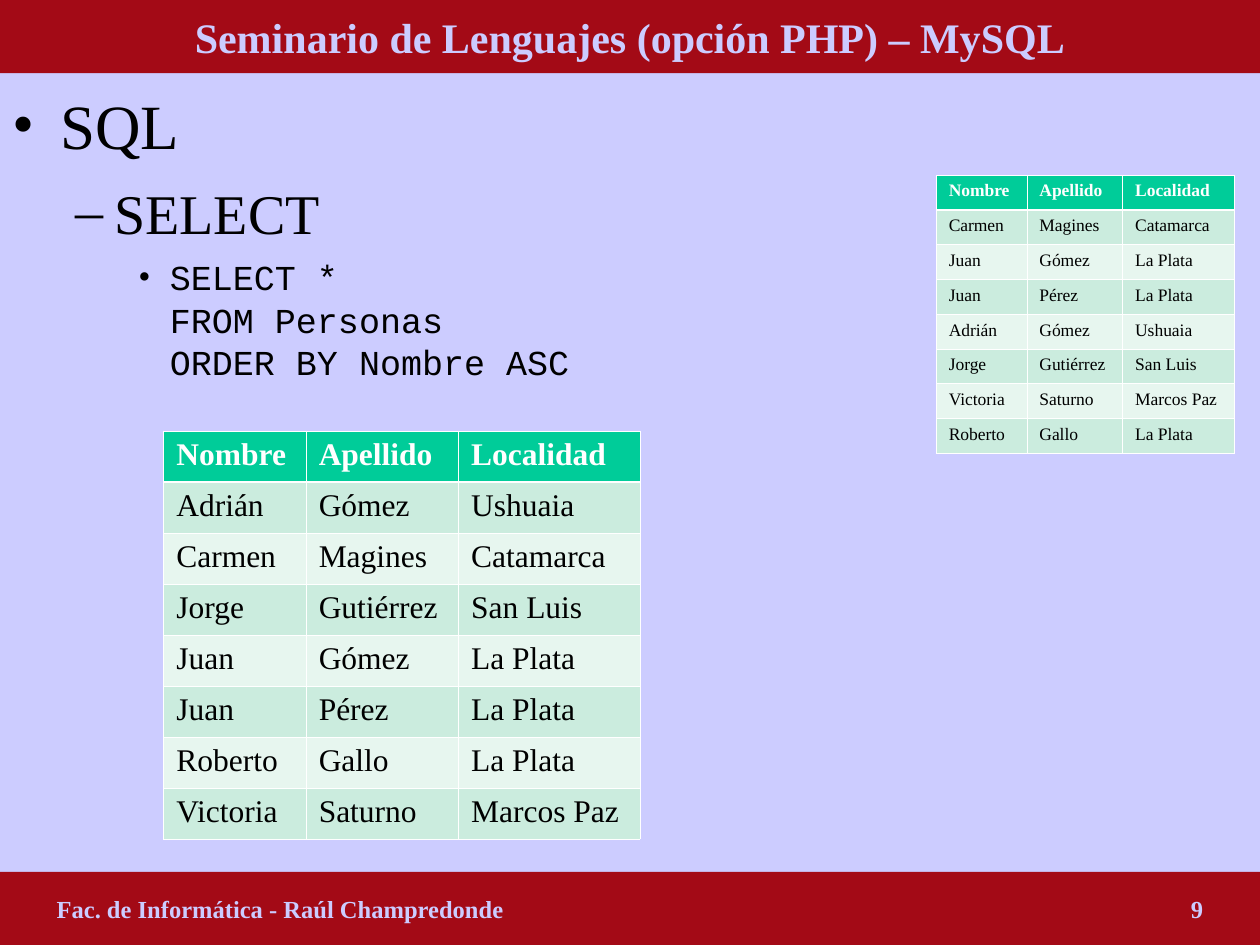
from lxml.etree import SubElement
from pptx import Presentation
from pptx.dml.color import RGBColor
from pptx.enum.shapes import MSO_SHAPE
from pptx.enum.text import MSO_ANCHOR, PP_ALIGN
from pptx.oxml.ns import qn
from pptx.util import Inches, Pt

LAVENDER = RGBColor(0xCC, 0xCC, 0xFF)
DARK_RED = RGBColor(0xA3, 0x0A, 0x16)
GREEN = RGBColor(0x00, 0xCC, 0x99)
BAND_DARK = RGBColor(0xCB, 0xEC, 0xDE)
BAND_LIGHT = RGBColor(0xE7, 0xF6, 0xEF)
BLACK = RGBColor(0, 0, 0)
WHITE = RGBColor(0xFF, 0xFF, 0xFF)
SERIF = "Times New Roman"
MONO = "Courier New"


def write(paragraph, text, color, **font_format):
    paragraph.text = text
    for run in paragraph.runs:
        for name, value in font_format.items():
            setattr(run.font, name, value)
        run.font.color.rgb = color


def add_borders(cell, widths):
    properties = cell._tc.get_or_add_tcPr()
    for side, width in widths.items():
        line = SubElement(properties, qn(f"a:ln{side}"), w=str(Pt(width)))
        fill = SubElement(line, qn("a:solidFill"))
        SubElement(fill, qn("a:srgbClr"), val=str(WHITE))


prs = Presentation()
prs.slide_width, prs.slide_height = Inches(10), Inches(7.5)
slide = prs.slides.add_slide(prs.slide_layouts[6])
slide.background.fill.solid()
slide.background.fill.fore_color.rgb = LAVENDER

# Outline: text, bullet, left indent, hanging indent, space before, font, size
outline = [
    ("SQL", "•", 0.38, 0.38, 0, SERIF, 36),
    ("SELECT", "–", 0.81, 0.31, 9, SERIF, 32),
    ("SELECT *\vFROM Personas\vORDER BY Nombre ASC", "•", 1.25, 0.25, 6, MONO, 20),
]
body = slide.shapes.add_textbox(Inches(0), Inches(0.58), Inches(10), Inches(6.33)).text_frame
body.word_wrap = True
body.margin_top = Inches(0.11)
for level, (text, bullet, indent, hanging, before, font, size) in enumerate(outline):
    item = body.add_paragraph() if level else body.paragraphs[0]
    item.level = level
    item.space_before = Pt(before)
    if font == MONO:
        item.line_spacing = Pt(24)
    properties = item._p.get_or_add_pPr()
    properties.set("marL", str(Inches(indent)))
    properties.set("indent", str(-Inches(hanging)))
    bullet_color = SubElement(properties, qn("a:buClr"))
    SubElement(bullet_color, qn("a:srgbClr"), val=str(BLACK))
    SubElement(properties, qn("a:buFont"), typeface=SERIF)
    SubElement(properties, qn("a:buChar"), char=bullet)
    write(item, text, BLACK, name=font, size=Pt(size))

# Header and footer bars: text, top, alignment, left inset, size
bars = [
    ("Seminario de Lenguajes (opción PHP) – MySQL", 0, PP_ALIGN.CENTER, 0.1, 24),
    ("Fac. de Informática - Raúl Champredonde\t9", 6.92, PP_ALIGN.LEFT, 0.45, 14),
]
for text, top, alignment, inset, size in bars:
    bar = slide.shapes.add_shape(MSO_SHAPE.RECTANGLE, Inches(0), Inches(top), Inches(10), Inches(0.58))
    bar.shadow.inherit = False
    bar.fill.solid()
    bar.fill.fore_color.rgb = DARK_RED
    bar.line.fill.background()
    bar.text_frame.margin_left = Inches(inset)
    bar.text_frame.vertical_anchor = MSO_ANCHOR.MIDDLE
    line = bar.text_frame.paragraphs[0]
    line.alignment = alignment
    if "\t" in text:  # page number sits on a right tab
        tabs = SubElement(line._p.get_or_add_pPr(), qn("a:tabLst"))
        SubElement(tabs, qn("a:tab"), pos=str(Inches(9.1)), algn="r")
    write(line, text, LAVENDER, name=SERIF, size=Pt(size), bold=True)

# Tables: the query result, ordered by name, and the stored people
header = ("Nombre", "Apellido", "Localidad")
people = [
    ("Carmen", "Magines", "Catamarca"),
    ("Juan", "Gómez", "La Plata"),
    ("Juan", "Pérez", "La Plata"),
    ("Adrián", "Gómez", "Ushuaia"),
    ("Jorge", "Gutiérrez", "San Luis"),
    ("Victoria", "Saturno", "Marcos Paz"),
    ("Roberto", "Gallo", "La Plata"),
]
people_by_name = sorted(people, key=lambda person: person[0])
tables = [
    (people_by_name, 1.3, 3.42, 3.24, (1.13, 1.21, 1.44), 18),
    (people, 7.43, 1.39, 2.21, (0.72, 0.76, 0.89), 10),
]
for records, left, top, height, widths, size in tables:
    rows = [header, *records]
    table = slide.shapes.add_table(len(rows), len(header), Inches(left), Inches(top),
                                   Inches(sum(widths)), Inches(height)).table
    for column, width in zip(table.columns, widths):
        column.width = Inches(width)
    for r, row in enumerate(rows):
        is_header = r == 0
        for c, text in enumerate(row):
            cell = table.cell(r, c)
            add_borders(cell, {"L": 0.45, "R": 0.45,
                               "T": 1.47 if r == 1 else 0.45,
                               "B": 1.47 if is_header else 0.45})
            cell.fill.solid()
            cell.fill.fore_color.rgb = GREEN if is_header else (BAND_LIGHT, BAND_DARK)[r % 2]
            write(cell.text_frame.paragraphs[0], text, WHITE if is_header else BLACK,
                  name=SERIF, size=Pt(size), bold=is_header)

prs.save("out.pptx")
